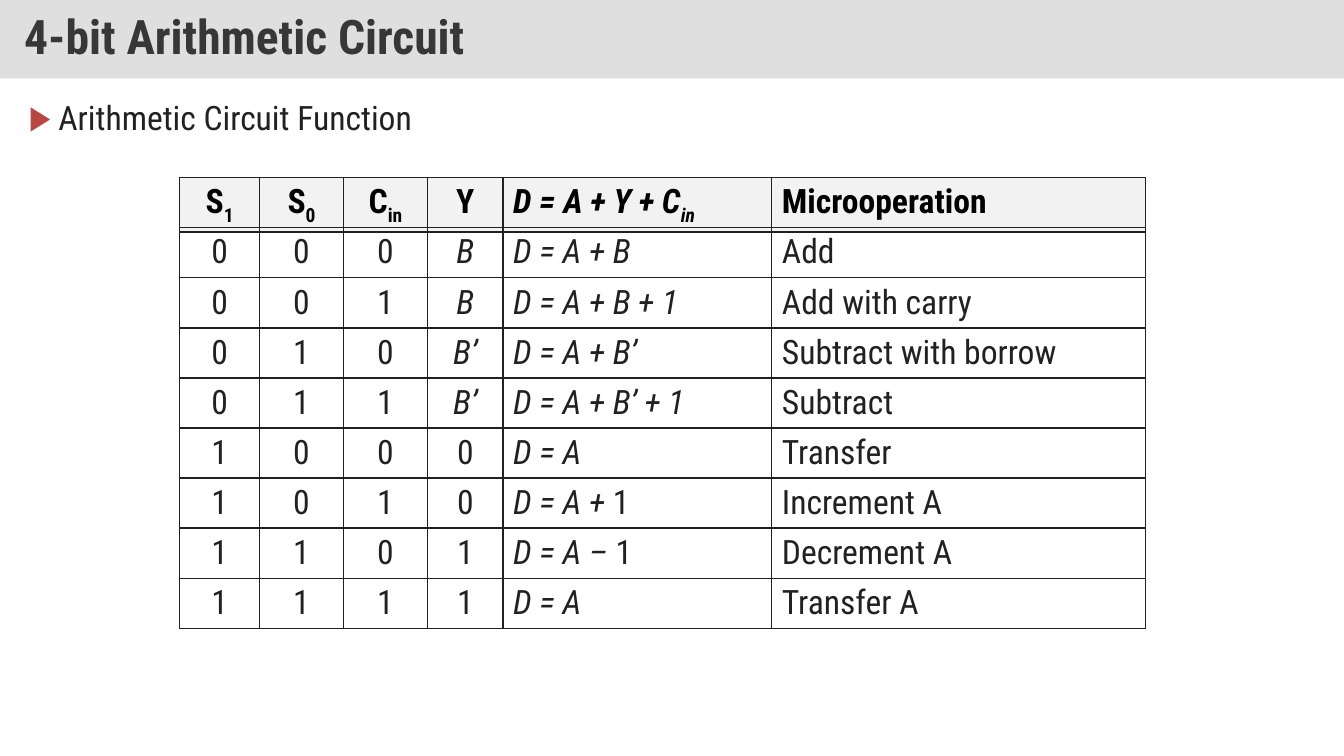
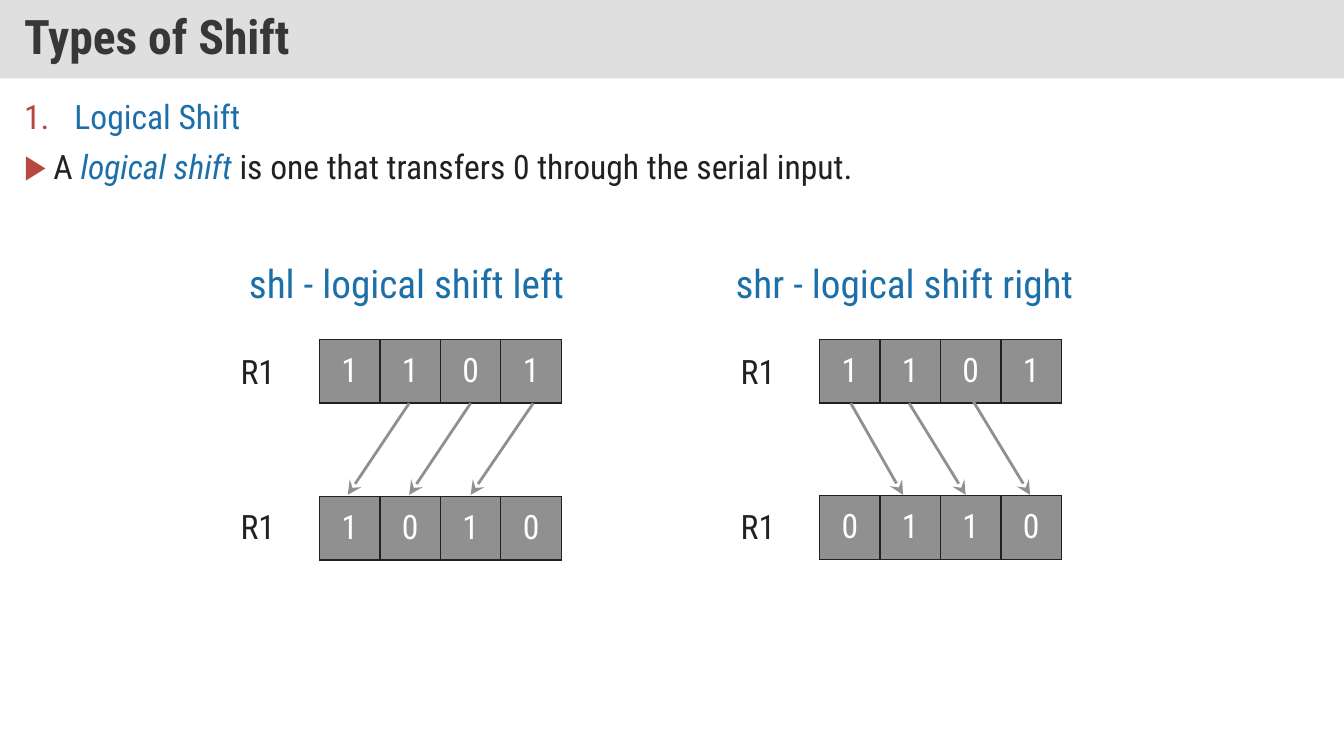
from dataclasses import dataclass

from lxml.etree import SubElement
from pptx import Presentation
from pptx.dml.color import RGBColor
from pptx.enum.shapes import MSO_CONNECTOR
from pptx.enum.text import MSO_ANCHOR as Anchor, MSO_AUTO_SIZE as AutoSize, PP_ALIGN as Align
from pptx.oxml.ns import qn
from pptx.util import Pt


@dataclass(frozen=True)
class Theme:
    font: str = "Roboto Condensed"
    band: str = "C0C0C0"
    title: str = "373737"
    text: str = "212121"
    header_text: str = "000000"
    header_fill: str = "F2F2F2"
    accent: str = "1D6FA9"
    bullet: str = "B84742"
    bit_fill: str = "909090"
    bit_text: str = "FFFFFF"
    title_size: int = 34
    heading_size: int = 28
    body_size: int = 24


@dataclass(frozen=True)
class Run:
    text: str
    italic: bool = False
    subscript: bool = False
    accent: bool = False


def italic(text):
    return Run(text, italic=True)


def subscript(text, italic=False):
    return Run(text, italic=italic, subscript=True)


THEME = Theme()
SLIDE_WIDTH, SLIDE_HEIGHT = 960, 540
BAND_HEIGHT = 56
ARROW = "▶"
NUMBER = "1."

# Each body item: marker, indent, runs
FUNCTION_SLIDE = {
    "title": "4-bit Arithmetic Circuit",
    "body_box": (13.5, 69, 690, 48),
    "body": [(ARROW, 21, ["Arithmetic Circuit Function"])],
}
SHIFT_SLIDE = {
    "title": "Types of Shift",
    "body_box": (10, 68, 940, 86),
    "body": [
        (NUMBER, 36, [Run("Logical Shift", accent=True)]),
        (ARROW, 21, ["A ", Run("logical shift", italic=True, accent=True),
                     " is one that transfers 0 through the serial input."]),
    ],
}

FUNCTION_HEADER = [
    ["S", subscript("1")], ["S", subscript("0")], ["C", subscript("in")], ["Y"],
    [italic("D = A + Y + C"), subscript("in", italic=True)], ["Microoperation"],
]
FUNCTION_ROWS = [
    ["0", "0", "0", [italic("B")], [italic("D = A + B")], "Add"],
    ["0", "0", "1", [italic("B")], [italic("D = A + B + 1")], "Add with carry"],
    ["0", "1", "0", [italic("B’")], [italic("D = A + B’")], "Subtract with borrow"],
    ["0", "1", "1", [italic("B’")], [italic("D = A + B’ + 1")], "Subtract"],
    ["1", "0", "0", "0", [italic("D = A")], "Transfer"],
    ["1", "0", "1", "0", [italic("D = A + "), "1"], "Increment A"],
    ["1", "1", "0", "1", [italic("D = A – "), "1"], "Decrement A"],
    ["1", "1", "1", "1", [italic("D = A")], "Transfer A"],
]
FUNCTION_LEFT, FUNCTION_TOP, FUNCTION_PITCH = 128.4, 126.8, 35.82
FUNCTION_ROW_HEIGHT = 29.5
FUNCTION_WIDTHS = [57, 60, 60, 54, 192, 267]
CENTERED_COLUMNS = 4

REGISTER = "R1"
# Each arrow: start x, start y, end x
SHIFT_PANELS = [
    {"left": 228.2, "after_top": 354.6, "before": "1101", "after": "1010",
     "heading": "shl - logical shift left", "heading_left": 170.8, "heading_width": 242.6,
     "arrows": [(292.3, 288, 248.4), (336.2, 288, 292.3), (380.9, 288, 336.2)]},
    {"left": 585.4, "after_top": 354, "before": "1101", "after": "0110",
     "heading": "shr - logical shift right", "heading_left": 518.4, "heading_width": 261.4,
     "arrows": [(607.7, 288, 645), (649.4, 288, 689.8), (693.4, 283.7, 735.8)]},
]
BIT_WIDTH, BIT_HEIGHT = 43.2, 45.4
BEFORE_TOP, ARROW_END = 242.5, 353.5
LABEL_TOPS = [247, 358]
LABEL_OFFSET, LABEL_WIDTH, LABEL_HEIGHT = 63.4, 39.6, 36
HEADING_TOP, HEADING_HEIGHT = 181.5, 41


def rgb(color):
    return RGBColor.from_string(color)


def write(paragraph, runs, color=THEME.text, size=THEME.body_size, bold=False):
    """Add runs, given as a string or a list of strings and Run objects."""
    for item in [runs] if isinstance(runs, str) else runs:
        part = Run(item) if isinstance(item, str) else item
        run = paragraph.add_run()
        run.text = part.text
        font = run.font
        font.name, font.size, font.bold = THEME.font, Pt(size), bold
        font.italic = part.italic
        font.color.rgb = rgb(THEME.accent if part.accent else color)
        if part.subscript:
            run._r.get_or_add_rPr().set("baseline", "-25000")


def place(shape, left, top, width, height):
    shape.left, shape.top = Pt(left), Pt(top)
    shape.width, shape.height = Pt(width), Pt(height)


def set_marker(paragraph, marker, indent):
    properties = paragraph._p.get_or_add_pPr()
    properties.set("marL", str(Pt(indent)))
    properties.set("indent", str(-Pt(indent)))
    color = SubElement(properties, qn("a:buClr"))
    SubElement(color, qn("a:srgbClr"), val=THEME.bullet)
    SubElement(properties, qn("a:buFont"), typeface=THEME.font)
    if marker == NUMBER:
        SubElement(properties, qn("a:buAutoNum"), type="arabicPeriod")
    else:
        SubElement(properties, qn("a:buChar"), char=marker)


def add_slide(presentation, content):
    """Add a slide with its title band and marked body paragraphs."""
    slide = presentation.slides.add_slide(presentation.slide_layouts[1])

    title = slide.shapes.title
    place(title, 0, 0, SLIDE_WIDTH, BAND_HEIGHT)
    title.fill.solid()
    title.fill.fore_color.rgb = rgb(THEME.band)
    band_color = title._element.spPr.find(qn("a:solidFill"))[0]
    SubElement(band_color, qn("a:alpha"), val="50000")
    frame = title.text_frame
    frame.auto_size, frame.vertical_anchor = AutoSize.NONE, Anchor.MIDDLE
    frame.margin_left = frame.margin_right = Pt(17.3)
    frame.margin_top = frame.margin_bottom = Pt(8.6)
    paragraph = frame.paragraphs[0]
    paragraph.alignment, paragraph.line_spacing = Align.LEFT, 0.9
    write(paragraph, content["title"], THEME.title, THEME.title_size, bold=True)

    body = slide.placeholders[1]
    place(body, *content["body_box"])
    frame = body.text_frame
    frame.auto_size = AutoSize.NONE
    for index, (marker, indent, runs) in enumerate(content["body"]):
        paragraph = frame.add_paragraph() if index else frame.paragraphs[0]
        set_marker(paragraph, marker, indent)
        paragraph.alignment, paragraph.line_spacing = Align.JUSTIFY, 0.9
        paragraph.space_before = Pt(10 if index else 0)
        write(paragraph, runs)
    return slide


def set_borders(cell):
    properties = cell._tc.get_or_add_tcPr()
    for side in ("lnL", "lnR", "lnT", "lnB"):
        line = SubElement(properties, qn(f"a:{side}"), w=str(Pt(1)))
        fill = SubElement(line, qn("a:solidFill"))
        SubElement(fill, qn("a:srgbClr"), val=THEME.text)


def add_row_table(slide, left, top, widths, height, frame_height):
    """Add a table of one row and return its cells."""
    frame = slide.shapes.add_table(1, len(widths), Pt(left), Pt(top),
                                   Pt(sum(widths)), Pt(height))
    table = frame.table
    table.first_row = table.horz_banding = False
    for column, width in zip(table.columns, widths):
        column.width = Pt(width)
    frame.height = Pt(frame_height)
    return table.rows[0].cells


def fill_cell(cell, runs, alignment, color, fill=None, bold=False):
    set_borders(cell)
    if fill:
        cell.fill.solid()
        cell.fill.fore_color.rgb = rgb(fill)
    else:
        cell.fill.background()
    paragraph = cell.text_frame.paragraphs[0]
    paragraph.alignment = alignment
    write(paragraph, runs, color, bold=bold)


def add_function_rows(slide):
    header_style = dict(color=THEME.header_text, fill=THEME.header_fill, bold=True)
    for row_index, row in enumerate([FUNCTION_HEADER] + FUNCTION_ROWS):
        style = dict(color=THEME.text) if row_index else header_style
        cells = add_row_table(slide, FUNCTION_LEFT, FUNCTION_TOP + row_index * FUNCTION_PITCH,
                              FUNCTION_WIDTHS, FUNCTION_ROW_HEIGHT, FUNCTION_PITCH)
        for column_index, (cell, runs) in enumerate(zip(cells, row)):
            alignment = Align.CENTER if column_index < CENTERED_COLUMNS else Align.LEFT
            fill_cell(cell, runs, alignment, **style)


def add_text(slide, box, text, color, size):
    frame = slide.shapes.add_textbox(*map(Pt, box)).text_frame
    frame.word_wrap, frame.auto_size = False, AutoSize.SHAPE_TO_FIT_TEXT
    write(frame.paragraphs[0], text, color, size)


def add_bits(slide, left, top, bits):
    cells = add_row_table(slide, left, top, [BIT_WIDTH] * len(bits), BIT_HEIGHT, BIT_HEIGHT)
    for cell, bit in zip(cells, bits):
        cell.vertical_anchor = Anchor.MIDDLE
        fill_cell(cell, bit, Align.CENTER, THEME.bit_text, THEME.bit_fill)


def add_arrow(slide, start_x, start_y, end_x):
    ends = map(Pt, (start_x, start_y, end_x, ARROW_END))
    arrow = slide.shapes.add_connector(MSO_CONNECTOR.STRAIGHT, *ends)
    arrow.line.color.rgb = rgb(THEME.bit_fill)
    arrow.line.width = Pt(2)
    SubElement(arrow.line._get_or_add_ln(), qn("a:tailEnd"), type="stealth", w="lg", len="lg")
    SubElement(arrow._element.spPr, qn("a:effectLst"))


def add_shift_panel(slide, panel):
    left = panel["left"]
    add_bits(slide, left, BEFORE_TOP, panel["before"])
    for top in LABEL_TOPS:
        add_text(slide, (left - LABEL_OFFSET, top, LABEL_WIDTH, LABEL_HEIGHT), REGISTER,
                 THEME.text, THEME.body_size)
    for arrow in panel["arrows"]:
        add_arrow(slide, *arrow)
    heading_box = (panel["heading_left"], HEADING_TOP, panel["heading_width"], HEADING_HEIGHT)
    add_text(slide, heading_box, panel["heading"], THEME.accent, THEME.heading_size)


def add_shifted_bits(slide, panel):
    """Add the result as one single-cell table per bit."""
    for index, bit in enumerate(panel["after"]):
        add_bits(slide, panel["left"] + index * BIT_WIDTH, panel["after_top"], bit)


def main():
    presentation = Presentation()
    presentation.slide_width, presentation.slide_height = Pt(SLIDE_WIDTH), Pt(SLIDE_HEIGHT)
    add_function_rows(add_slide(presentation, FUNCTION_SLIDE))
    shift_slide = add_slide(presentation, SHIFT_SLIDE)
    for add_part in (add_shift_panel, add_shifted_bits):
        for panel in SHIFT_PANELS:
            add_part(shift_slide, panel)
    presentation.save("out.pptx")


if __name__ == "__main__":
    main()
